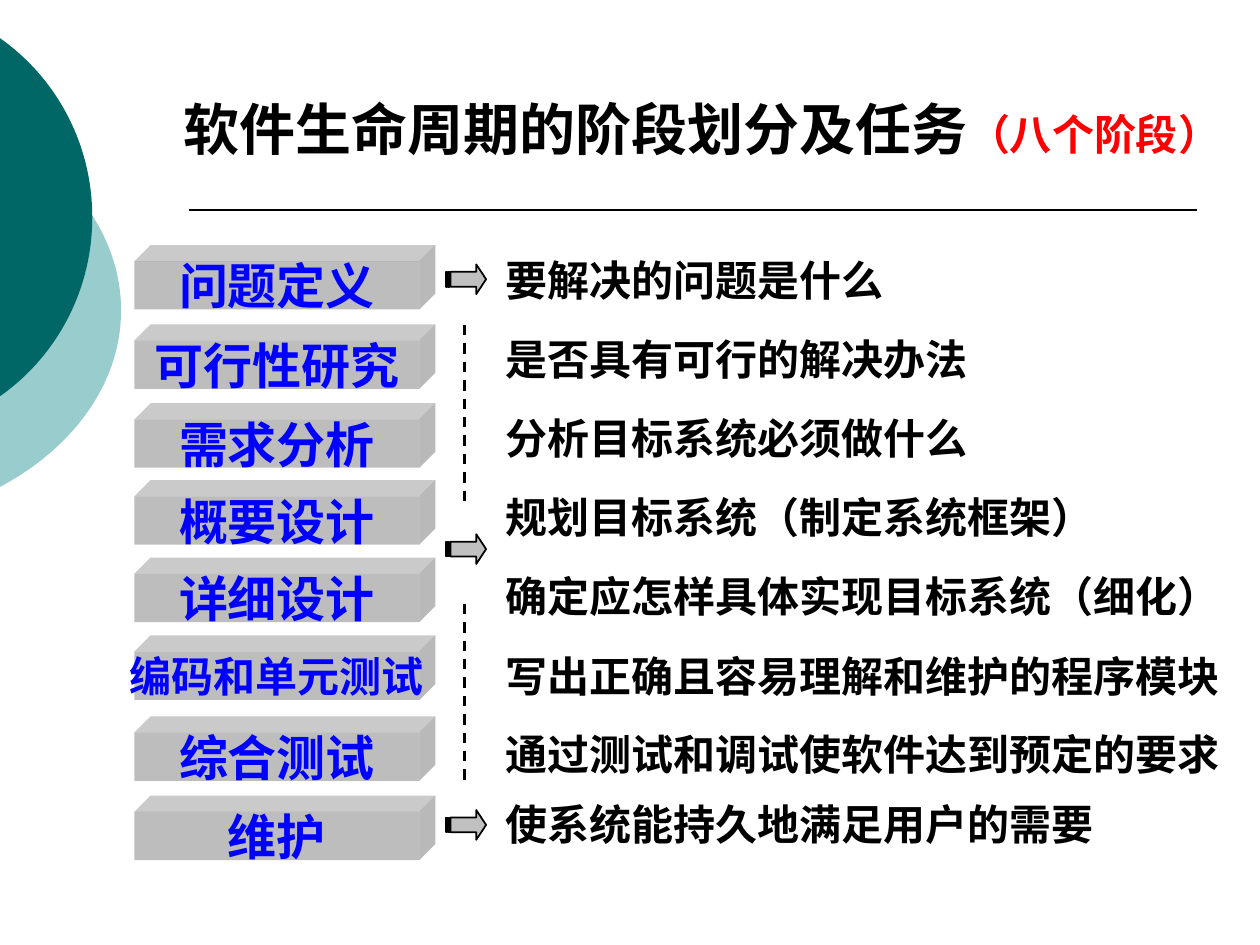
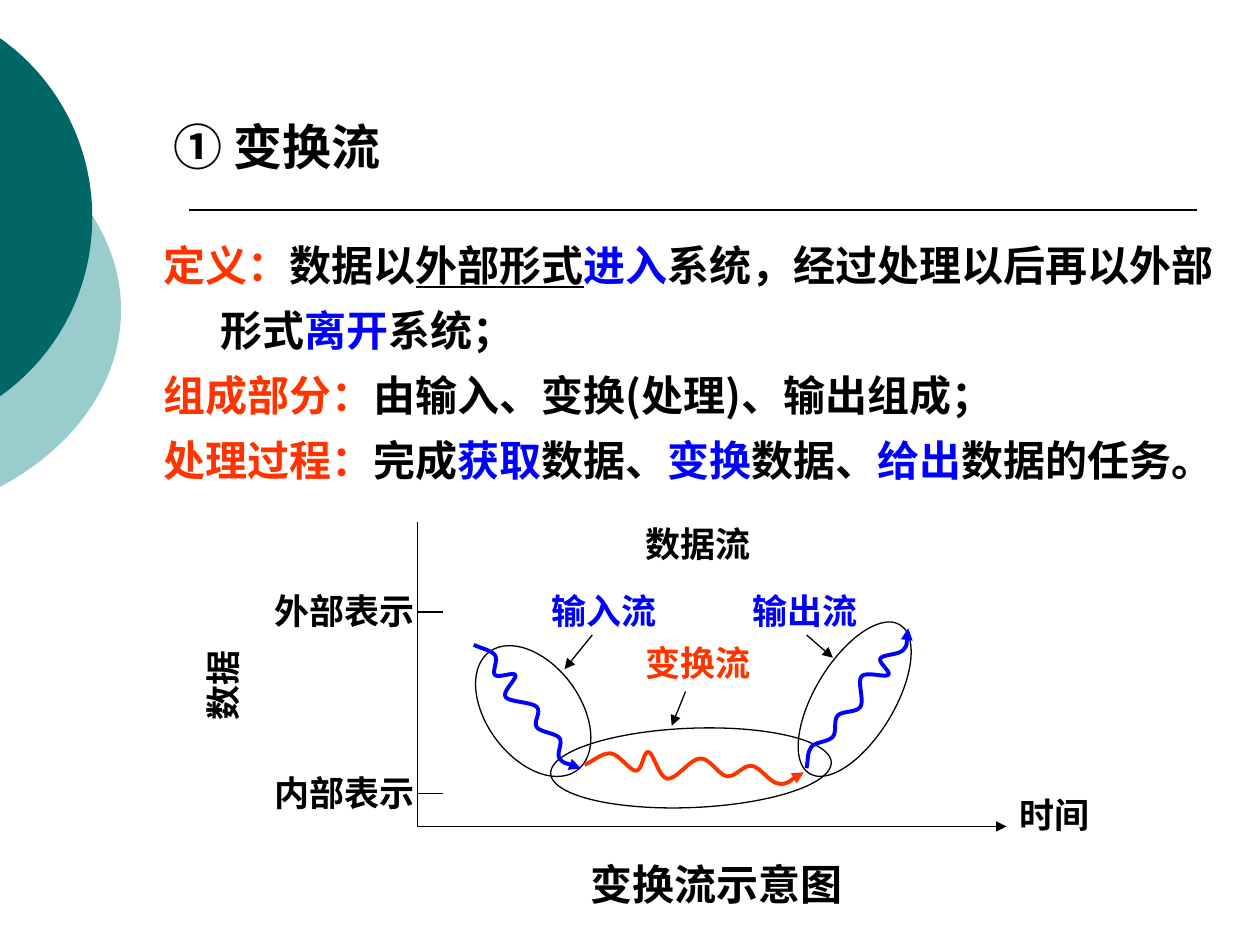
from dataclasses import dataclass
from math import cos, radians, sin

from lxml.etree import SubElement
from pptx import Presentation
from pptx.dml.color import RGBColor
from pptx.enum.dml import MSO_LINE
from pptx.enum.shapes import MSO_CONNECTOR, MSO_SHAPE
from pptx.enum.text import MSO_ANCHOR, MSO_AUTO_SIZE, PP_ALIGN
from pptx.oxml.ns import qn
from pptx.util import Cm, Pt


@dataclass(frozen=True)
class Theme:
    black: str = "000000"
    blue: str = "0000FF"
    red: str = "FF0000"
    orange: str = "FF3300"
    teal: str = "006666"
    pale_teal: str = "99CCCC"
    block: str = "333333"
    arrow: str = "C0C0C0"
    block_opacity: int = 32000
    cjk: str = "Noto Sans CJK SC"
    heading: str = "Roboto"
    plain: str = "DejaVu Sans"
    title: int = 32
    subtitle: int = 28
    text: int = 24
    label: int = 20
    body_pitch: float = 37.3


def spline(anchors):
    """Bezier points of a smooth curve that passes through every anchor."""
    (x0, y0), (x1, y1) = anchors[:2]
    (xm, ym), (xn, yn) = anchors[-2:]
    knots = [(2 * x0 - x1, 2 * y0 - y1), *anchors, (2 * xn - xm, 2 * yn - ym)]
    points = [anchors[0]]
    for a, b, c, d in zip(knots, knots[1:], knots[2:], knots[3:]):
        points += [(b[0] + (c[0] - a[0]) / 6, b[1] + (c[1] - a[1]) / 6),
                   (c[0] - (d[0] - b[0]) / 6, c[1] - (d[1] - b[1]) / 6), c]
    return points


def disc(x, y, width, height):
    """Bezier points of an ellipse that fills the given box."""
    k = 0.5523
    unit = [(0, -1), (k, -1), (1, -k), (1, 0), (1, k), (k, 1), (0, 1),
            (-k, 1), (-1, k), (-1, 0), (-1, -k), (-k, -1), (0, -1)]
    return [(x + width * (1 + u) / 2, y + height * (1 + v) / 2) for u, v in unit]


def turned(points, pivot, degrees):
    c, s = cos(radians(degrees)), sin(radians(degrees))
    px, py = pivot
    return [(px + c * (x - px) - s * (y - py), py + s * (x - px) + c * (y - py))
            for x, y in points]


class Deck:
    def __init__(self, theme):
        self.theme = theme
        self.prs = Presentation()
        self.prs.slide_width, self.prs.slide_height = Cm(25.4), Cm(19.05)
        self.slide = None

    def new_slide(self, layout):
        self.slide = self.prs.slides.add_slide(self.prs.slide_layouts[layout])

    def share(self, *shapes):
        """Move shapes to the master so that every slide shows them."""
        for position, shape in enumerate(shapes, 2):
            self.prs.slide_master.shapes.element.insert(position, shape.element)

    def font(self, font, size, color, name):
        font.size, font.bold, font.name = Pt(size), True, name
        font.color.rgb = RGBColor.from_string(color)

    def runs(self, paragraph, parts, name, size):
        """Fill a paragraph with (text, colour[, size]) parts."""
        for text, color, *own_size in parts:
            run = paragraph.add_run()
            run.text = text
            self.font(run.font, own_size[0] if own_size else size, color, name)
            SubElement(run.font._element, qn("a:ea"), typeface=name)

    def frame(self, shape, wrap, anchor=MSO_ANCHOR.MIDDLE):
        frame = shape.text_frame
        frame.auto_size, frame.word_wrap = MSO_AUTO_SIZE.NONE, wrap
        frame.vertical_anchor = anchor
        frame.margin_left = frame.margin_right = 0
        frame.margin_top = frame.margin_bottom = 0
        return frame

    def move(self, shape, x, y, width, height):
        shape.left, shape.top = Cm(x), Cm(y)
        shape.width, shape.height = Cm(width), Cm(height)

    def title(self, parts, box, name, size):
        heading = self.slide.shapes.title
        self.move(heading, *box)
        paragraph = self.frame(heading, True).paragraphs[0]
        paragraph.alignment = PP_ALIGN.LEFT
        self.runs(paragraph, parts, name, size)

    def body(self, paragraphs, box):
        """Fill the body with (indent, parts) paragraphs."""
        body = self.slide.placeholders[1]
        self.move(body, *box)
        frame = self.frame(body, True, MSO_ANCHOR.TOP)
        for i, (indent, parts) in enumerate(paragraphs):
            paragraph = frame.add_paragraph() if i else frame.paragraphs[0]
            paragraph.line_spacing = Pt(self.theme.body_pitch)
            paragraph.space_before = Pt(0)
            properties = paragraph._p.get_or_add_pPr()
            properties.set("marL", str(Cm(indent)))
            properties.set("indent", "0")
            SubElement(properties, qn("a:buNone"))
            self.runs(paragraph, parts, self.theme.cjk, self.theme.text)
        return frame

    def text(self, text, box, color, name, size, align=PP_ALIGN.LEFT, turn=0):
        label = self.slide.shapes.add_textbox(*map(Cm, box))
        label.rotation = turn
        paragraph = self.frame(label, False).paragraphs[0]
        paragraph.alignment = align
        self.runs(paragraph, [(text, color)], name, size)

    def paint(self, shape, fill=None, line=None, weight=1):
        shape.shadow.inherit = False
        if fill:
            shape.fill.solid()
            shape.fill.fore_color.rgb = RGBColor.from_string(fill)
        else:
            shape.fill.background()
        if line:
            shape.line.color.rgb = RGBColor.from_string(line)
            shape.line.width = Pt(weight)
        else:
            shape.line.fill.background()
        return shape

    def preset(self, kind, box, **style):
        return self.paint(self.slide.shapes.add_shape(kind, *map(Cm, box)), **style)

    def curve(self, points, close=False, **style):
        """Draw Bezier points: a start, then two handles and an end per segment."""
        corners = [(Cm(x), Cm(y)) for x, y in points]
        builder = self.slide.shapes.build_freeform(*corners[0])
        builder.add_line_segments(corners[1:], close=close)
        shape = builder.convert_to_shape()
        steps = list(shape.element.iter(qn("a:lnTo")))
        for first, second, third in zip(steps[::3], steps[1::3], steps[2::3]):
            first.tag = qn("a:cubicBezTo")
            for step in (second, third):
                first.append(step[0])
                step.getparent().remove(step)
        return self.paint(shape, **style)

    def arrowhead(self, line, end="a:tailEnd"):
        SubElement(line._get_or_add_ln(), qn(end), type="triangle")

    def wave(self, anchors, color, pivot=(0, 0), turn=0, end="a:tailEnd"):
        points = turned(spline(anchors), pivot, -turn)
        wave = self.curve(points, line=color, weight=2.25)
        wave.rotation = turn
        self.arrowhead(wave.line, end)

    def line(self, start, end, weight=0.75, dash=None, arrow=False):
        line = self.slide.shapes.add_connector(
            MSO_CONNECTOR.STRAIGHT, *map(Cm, (*start, *end)))
        line.line.color.rgb = RGBColor.from_string(self.theme.black)
        line.line.width = Pt(weight)
        if dash:
            line.line.dash_style = dash
        if arrow:
            self.arrowhead(line.line)
        SubElement(line.element.spPr, qn("a:effectLst"))
        return line

    def block(self, text, box, size):
        block = self.preset(MSO_SHAPE.CUBE, box, fill=self.theme.block)
        color = block.fill._xPr.find(qn("a:solidFill"))[0]
        SubElement(color, qn("a:alpha"), val=str(self.theme.block_opacity))
        paragraph = self.frame(block, False).paragraphs[0]
        paragraph.alignment = PP_ALIGN.CENTER
        self.runs(paragraph, [(text, self.theme.blue)], self.theme.cjk, size)

    def ellipse(self, box, turn):
        ring = self.preset(MSO_SHAPE.OVAL, box, line=self.theme.black, weight=0.75)
        ring.rotation = turn


# Stage, its task, and the tops of both in centimetres
STAGES = [
    ("问题定义", "要解决的问题是什么", 4.94, 5.13),
    ("可行性研究", "是否具有可行的解决办法", 6.54, 6.72),
    ("需求分析", "分析目标系统必须做什么", 8.13, 8.31),
    ("概要设计", "规划目标系统（制定系统框架）", 9.68, 9.91),
    ("详细设计", "确定应怎样具体实现目标系统（细化）", 11.24, 11.5),
    ("编码和单元测试", "写出正确且容易理解和维护的程序模块", 12.81, 13.11),
    ("综合测试", "通过测试和调试使软件达到预定的要求", 14.44, 14.69),
    ("维护", "使系统能持久地满足用户的需要", 16.04, 16.1),
]
INPUT_WAVE = [
    (9.55, 13), (9.98, 13.21), (9.98, 13.61), (10.39, 13.61), (10.19, 14.05),
    (10.82, 14.25), (10.82, 14.66), (11.28, 14.88), (11.28, 15.29), (11.71, 15.49)]
OUTPUT_WAVE = [
    (18.31, 12.67), (18.21, 13.11), (17.75, 13.28), (17.91, 13.61), (17.37, 13.64),
    (17.35, 14.25), (16.89, 14.43), (16.79, 14.86), (16.36, 15.06), (16.26, 15.49)]
TRANSFORM_WAVE = [
    (11.79, 15.42), (12.32, 15.19), (12.83, 15.54), (13.08, 15.16), (13.46, 15.7),
    (14.12, 15.29), (14.66, 15.65), (15.16, 15.44), (15.7, 15.8), (16.21, 15.57)]


def shared_frame(deck):
    theme = deck.theme
    deck.share(
        deck.curve(disc(-8.99, 1.91, 11.43, 8.69), True, fill=theme.pale_teal),
        deck.curve(disc(-6.73, 0, 8.59, 8.76), True, fill=theme.teal),
        deck.line((3.81, 4.24), (24.13, 4.24), weight=1))


def life_cycle_slide(deck):
    theme = deck.theme
    deck.title([("软件生命周期的阶段划分及任务", theme.black),
                ("（八个阶段）", theme.red, theme.text)],
               (3.69, 1.9, 21.21, 1.37), theme.heading, theme.title)
    for stage, task, stage_top, task_top in STAGES:
        size = theme.text if len(stage) > 5 else theme.subtitle
        deck.block(stage, (2.71, stage_top, 6.07, 1.3), size)
        deck.text(task, (10.19, task_top, 0.85 * len(task), 1.02), theme.black,
                  theme.plain, theme.text)
    for top in (5.33, 10.77, 16.33):
        arrow = deck.preset(MSO_SHAPE.STRIPED_RIGHT_ARROW, (8.99, top, 0.81, 0.6),
                            fill=theme.arrow, line=theme.black)
        arrow.adjustments[1] = 0.33
    for top in (6.55, 12.17):
        deck.line((9.37, top), (9.37, top + 3.61), 1.5, MSO_LINE.DASH)


def transform_flow_slide(deck):
    theme = deck.theme
    black, blue, orange = theme.black, theme.blue, theme.orange
    deck.title([("① 变换流", black)], (3.49, 2.34, 5, 1.19), theme.cjk, theme.subtitle)
    definition = deck.body([
        (0, [("定义：", orange), ("数据以", black), ("外部形式", black), ("进入", blue),
             ("系统，经过处理以后再以外部", black)]),
        (1.14, [("形式", black), ("离开", blue), ("系统；", black)]),
        (0, [("组成部分：", orange), ("由输入、变换(处理)、输出组成；", black)]),
        (0, [("处理过程：", orange), ("完成", black), ("获取", blue), ("数据、", black),
             ("变换", blue), ("数据、", black), ("给出", blue), ("数据的任务。", black)]),
    ], (3.3, 4.52, 21.41, 5.33)).paragraphs[0]
    definition.runs[2].font.underline = True

    origin, time_end = (8.41, 16.66), (20.29, 16.66)
    deck.line((origin[0], 10.52), origin)
    deck.line(origin, time_end, arrow=True)
    for level, y in (("外部表示", 12.34), ("内部表示", 16)):
        deck.line((origin[0], y), (8.94, y))
        deck.text(level, (5.54, y - 0.45, 2.97, 0.84), black, theme.heading, theme.label)

    for box, turn in (((9.81, 12.85, 1.88, 2.97), 323.5),
                      ((16.43, 12.34, 1.6, 3.51), 31.3),
                      ((13.13, 12.65, 1.6, 5.66), 267.7)):
        deck.ellipse(box, turn)
    deck.wave(INPUT_WAVE, blue)
    deck.wave(OUTPUT_WAVE, blue, (17.28, 14.08), 67.7, "a:headEnd")
    deck.wave(TRANSFORM_WAVE, orange, (14, 15.49), 304.2)
    for start, end in (((11.94, 12.8), (11.38, 13.49)),
                       ((16.26, 12.8), (16.79, 13.26)),
                       ((13.82, 13.94), (13.54, 14.63))):
        deck.line(start, end, arrow=True)

    for name, x, y, width, color, turn in (("数据流", 13.02, 10.54, 2.16, black, 0),
                                           ("输入流", 11.12, 11.89, 2.16, blue, 0),
                                           ("输出流", 15.17, 11.89, 2.16, blue, 0),
                                           ("变换流", 13.02, 12.93, 2.16, orange, 0),
                                           ("时间", 20.55, 16, 1.96, black, 0),
                                           ("数据", 3.66, 13.28, 1.65, black, 270)):
        deck.text(name, (x, y, width, 0.84), color, theme.heading, theme.label, turn=turn)
    deck.text("变换流示意图", (11.38, 17.3, 6.12, 1.02), black, theme.cjk,
              theme.text, PP_ALIGN.CENTER)


def main():
    deck = Deck(Theme())
    deck.new_slide(5)
    shared_frame(deck)
    life_cycle_slide(deck)
    deck.new_slide(1)
    transform_flow_slide(deck)
    deck.prs.save("out.pptx")


if __name__ == "__main__":
    main()
